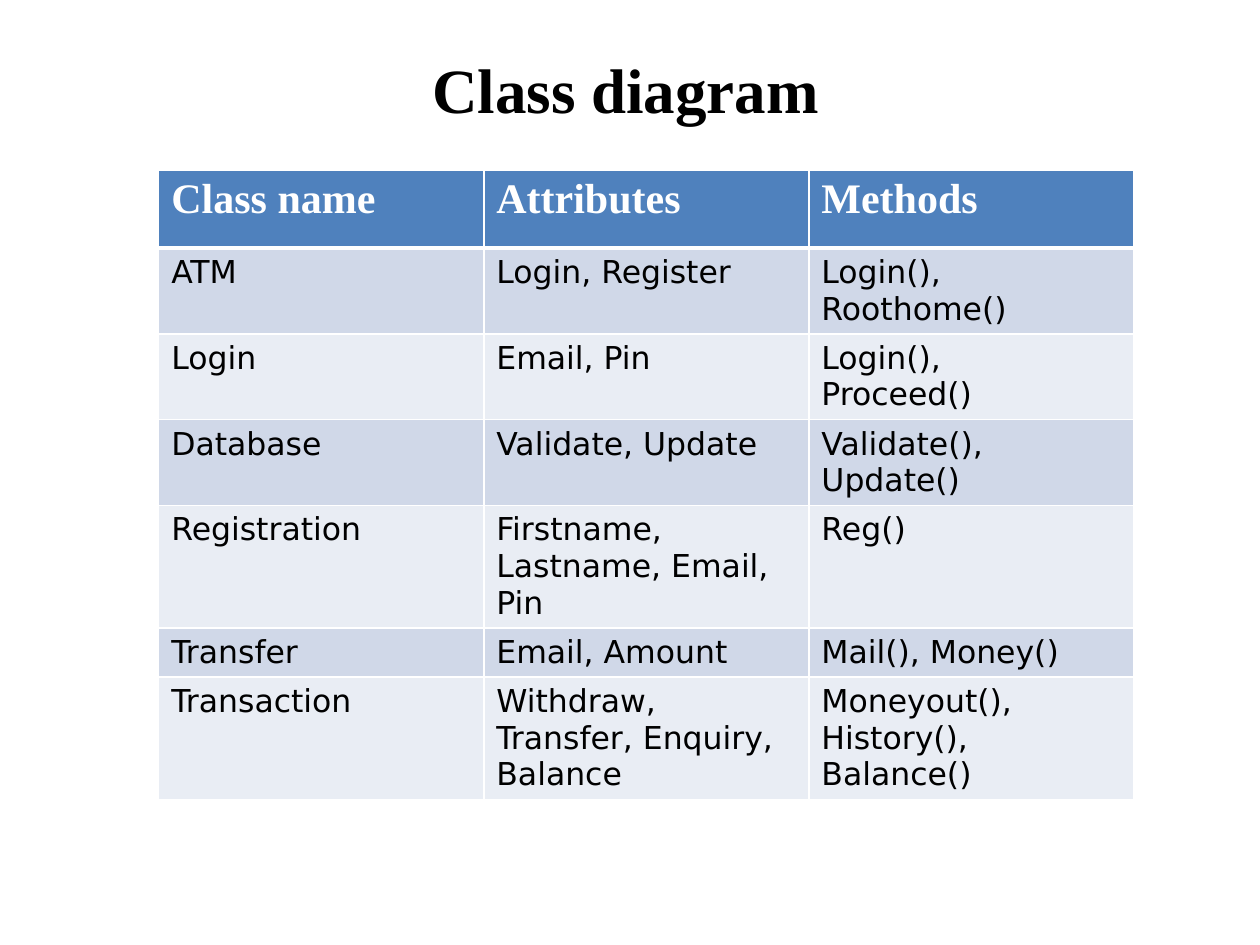
from lxml.etree import SubElement
from pptx import Presentation
from pptx.dml.color import RGBColor
from pptx.enum.text import MSO_ANCHOR, PP_ALIGN
from pptx.oxml.ns import qn
from pptx.util import Inches, Pt

COLORS = {
    "text": "000000",
    "white": "FFFFFF",
    "header": "4F81BD",
    "odd row": "D0D8E8",
    "even row": "E9EDF4",
}
SERIF, SANS = "Times New Roman", "DejaVu Sans"
COLUMN_WIDTH = 2.58
ROW_HEIGHTS = [0.62, 0.65, 0.65, 0.61, 0.65, 0.39, 0.65]
CLASSES = [
    ("Class name", "Attributes", "Methods"),
    ("ATM", "Login, Register", "Login(),\nRoothome()"),
    ("Login", "Email, Pin", "Login(),\nProceed()"),
    ("Database", "Validate, Update", "Validate(), Update()"),
    ("Registration", "Firstname, Lastname, Email, Pin", "Reg()"),
    ("Transfer", "Email, Amount", "Mail(), Money()"),
    ("Transaction", "Withdraw, Transfer, Enquiry, Balance",
     "Moneyout(), History(),\nBalance()"),
]


def write(frame, text, *, size, font, color="text", bold=False):
    """Fill a text frame with one left-aligned paragraph per line of text."""
    frame.text = text
    for para in frame.paragraphs:
        para.alignment = PP_ALIGN.LEFT
        for span in para.runs:
            span.font.size = Pt(size)
            span.font.name = font
            span.font.bold = bold
            span.font.color.rgb = RGBColor.from_string(COLORS[color])


def add_borders(cell, *, top=1, bottom=1):
    properties = cell._tc.get_or_add_tcPr()
    widths = {"a:lnL": 1, "a:lnR": 1, "a:lnT": top, "a:lnB": bottom}
    for side, width in widths.items():
        line = SubElement(properties, qn(side), w=str(Pt(width)))
        fill = SubElement(line, qn("a:solidFill"))
        SubElement(fill, qn("a:srgbClr"), val=COLORS["white"])


def paint(cell, color):
    cell.fill.solid()
    cell.fill.fore_color.rgb = RGBColor.from_string(COLORS[color])


def add_title(page, text):
    title = page.shapes.title
    title.left, title.top = Inches(3.33), Inches(0.35)
    title.width, title.height = Inches(4.99), Inches(1.31)
    title.text_frame.vertical_anchor = MSO_ANCHOR.TOP
    write(title.text_frame, text, size=36, font=SERIF, bold=True)


def add_class_table(page):
    columns = len(CLASSES[0])
    table = page.shapes.add_table(
        len(CLASSES), columns, Inches(1.26), Inches(1.35),
        Inches(COLUMN_WIDTH * columns), Inches(sum(ROW_HEIGHTS))).table
    for column in table.columns:
        column.width = Inches(COLUMN_WIDTH)
    for index, (height, texts) in enumerate(zip(ROW_HEIGHTS, CLASSES)):
        row = table.rows[index]
        row.height = Inches(height)
        for cell, text in zip(row.cells, texts):
            add_borders(cell, top=3 if index == 1 else 1,
                        bottom=3 if index == 0 else 1)
            if index == 0:
                paint(cell, "header")
                write(cell.text_frame, text, size=24, font=SERIF,
                      color="white", bold=True)
            else:
                paint(cell, "odd row" if index % 2 else "even row")
                write(cell.text_frame, text, size=18, font=SANS)


def main():
    deck = Presentation()
    deck.slide_width, deck.slide_height = Inches(10), Inches(7.5)
    page = deck.slides.add_slide(deck.slide_layouts.get_by_name("Title Only"))
    add_title(page, "Class diagram")
    add_class_table(page)
    deck.save("out.pptx")


if __name__ == "__main__":
    main()
